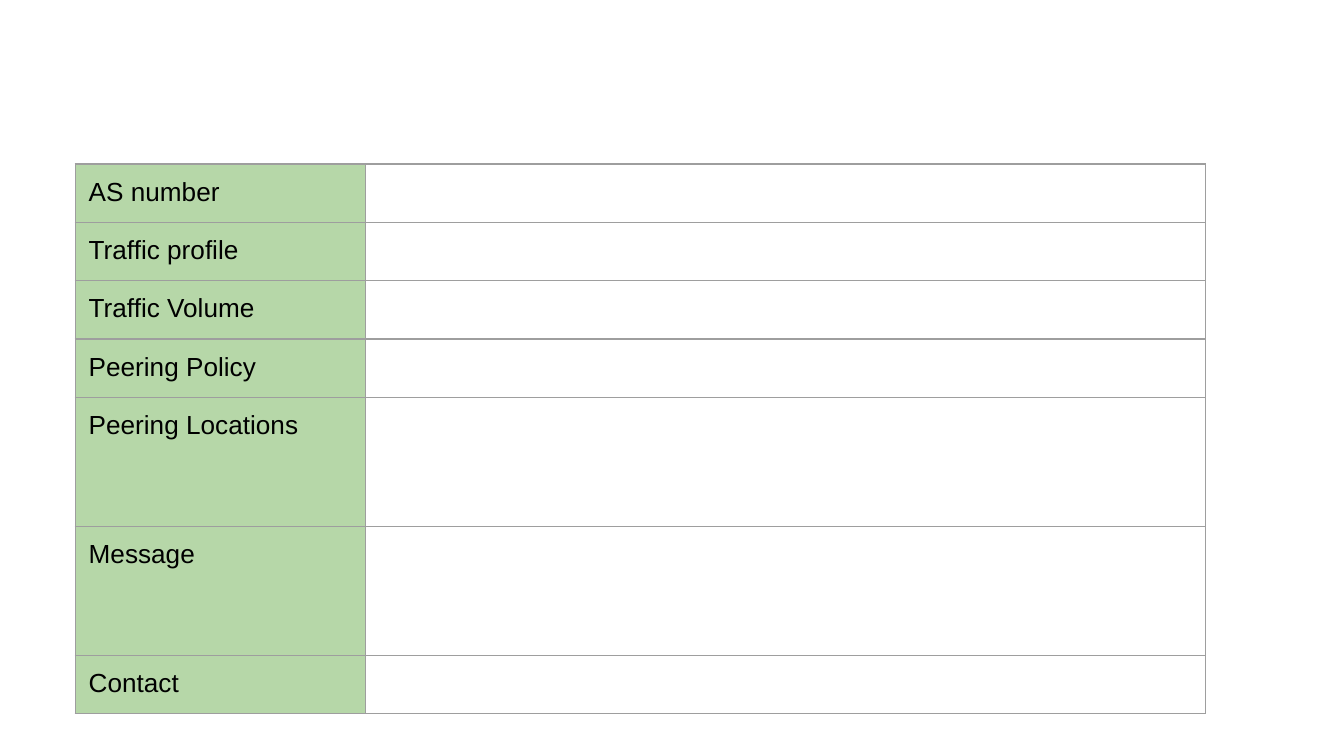
from dataclasses import dataclass

from lxml import etree
from pptx import Presentation
from pptx import util as u
from pptx.dml.color import RGBColor
from pptx.oxml.ns import qn


@dataclass(frozen=True)
class Theme:
    font: str = "Arial"
    size: float = 14
    ink: str = "000000"
    label: str = "B6D7A8"
    rule: str = "9E9E9E"
    width: float = 0.75
    pad: float = 0.1


class Deck:
    def __init__(self, theme, slide):
        self.theme = theme
        self.slide = slide

    def border(self, cell):
        props = cell._tc.get_or_add_tcPr()
        for i, side in enumerate(("lnL", "lnR", "lnT", "lnB")):
            line = etree.Element(qn(f"a:{side}"), w=str(u.Pt(self.theme.width)))
            fill = etree.SubElement(line, qn("a:solidFill"))
            etree.SubElement(fill, qn("a:srgbClr"), val=self.theme.rule)
            props.insert(i, line)

    def label(self, cell, words):
        theme = self.theme
        cell.fill.solid()
        cell.fill.fore_color.rgb = RGBColor.from_string(theme.label)
        pad = u.Inches(theme.pad)
        cell.margin_left = cell.margin_right = pad
        cell.margin_top = cell.margin_bottom = pad
        cell.text = words
        font = cell.text_frame.paragraphs[0].font
        font.name = theme.font
        font.size = u.Pt(theme.size)
        font.color.rgb = RGBColor.from_string(theme.ink)

    def form(self, left, top, cols, rows):
        """Draw a two-column form from (label, height) rows, with blank answers."""
        height = sum(high for _, high in rows)
        frame = self.slide.shapes.add_table(
            len(rows), len(cols), u.Inches(left), u.Inches(top),
            u.Inches(sum(cols)), u.Inches(height))
        table = frame.table
        table.first_row = table.horz_banding = False
        for col, wide in zip(table.columns, cols):
            col.width = u.Inches(wide)
        for row, (words, high) in zip(table.rows, rows):
            row.height = u.Inches(high)
            name, answer = row.cells
            self.label(name, words)
            answer.fill.background()
            for cell in (name, answer):
                self.border(cell)


def main():
    show = Presentation()
    show.slide_width = u.Inches(10)
    show.slide_height = show.slide_width * 9 // 16
    deck = Deck(Theme(), show.slides.add_slide(show.slide_layouts[6]))

    labels = ["AS number", "Traffic profile", "Traffic Volume", "Peering Policy",
              "Peering Locations", "Message", "Contact"]
    large = {"Peering Locations", "Message"}
    total, tall = 4.09, 0.96
    short = (total - tall * len(large)) / (len(labels) - len(large))
    rows = [(words, tall if words in large else short) for words in labels]
    deck.form(0.56, 1.22, (2.16, 6.25), rows)

    show.save("out.pptx")


if __name__ == "__main__":
    main()
